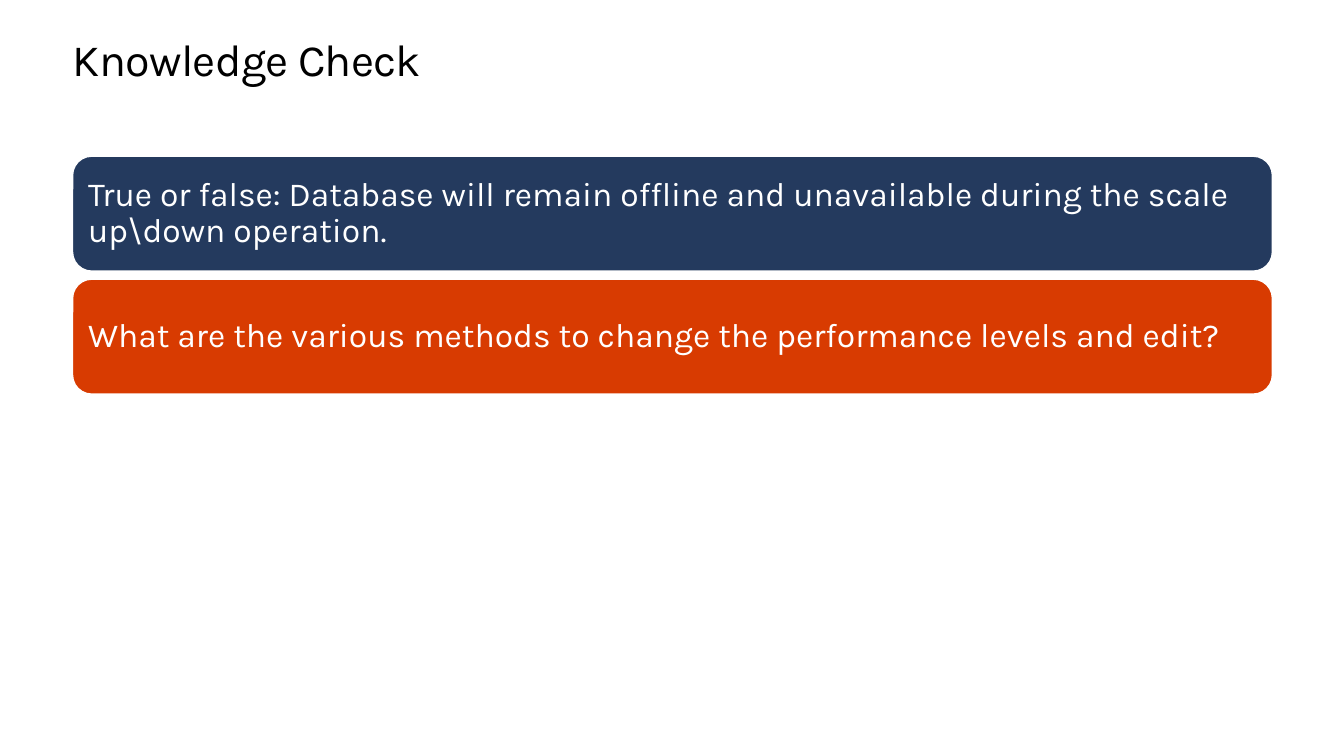
from pptx import Presentation
from pptx.dml.color import RGBColor
from pptx.enum.shapes import MSO_SHAPE as Shape
from pptx.enum.text import MSO_ANCHOR as Anchor, MSO_AUTO_SIZE as AutoSize, PP_ALIGN as Align
from pptx.oxml.ns import qn
from pptx.util import Inches, Pt
from lxml.etree import SubElement

LEFT, WIDTH = 0.72, 11.9
FIRST_TOP, ROW_HEIGHT, ROW_PITCH = 1.55, 1.14, 1.22
QUESTIONS = [
    ("True or false: Database will remain offline and unavailable "
     "during the scale up\\down operation.", "243A5E"),
    ("What are the various methods to change the performance levels and edit?", "D83B01"),
]


def color(value):
    return RGBColor.from_string(value)


def write(box, text, size, ink, frame_format, para_format):
    frame = box.text_frame
    for name, value in frame_format.items():
        setattr(frame, name, value)
    para = frame.paragraphs[0]
    for name, value in para_format.items():
        setattr(para, name, value)
    span = para.add_run()
    span.text = text
    for name, value in {"name": "Karla", "size": Pt(size), "bold": False}.items():
        setattr(span.font, name, value)
    span.font.color.rgb = color(ink)
    return para, span


deck = Presentation()
deck.slide_width, deck.slide_height = Inches(13.33), Inches(7.5)
page = deck.slides.add_slide(deck.slide_layouts[5])

# Title
title = page.shapes.title
for name, value in {"left": LEFT, "top": 0.35, "width": WIDTH, "height": 0.5}.items():
    setattr(title, name, Inches(value))
margins = ("margin_left", "margin_top", "margin_right", "margin_bottom")
para, span = write(
    title, "Knowledge Check", 32, "000000",
    {"word_wrap": True, "auto_size": AutoSize.SHAPE_TO_FIT_TEXT,
     "vertical_anchor": Anchor.TOP, **dict.fromkeys(margins, 0)},
    {"alignment": Align.LEFT, "line_spacing": Pt(36.2)})
span.font._element.set("spc", "-50")

# Question bars
for row, (question, fill) in enumerate(QUESTIONS):
    bar = page.shapes.add_shape(
        Shape.ROUNDED_RECTANGLE, Inches(LEFT), Inches(FIRST_TOP + row * ROW_PITCH),
        Inches(WIDTH), Inches(ROW_HEIGHT))
    bar.shadow.inherit = False
    bar.fill.solid()
    bar.fill.fore_color.rgb = color(fill)
    bar.line.color.rgb = color("FFFFFF")
    bar.line.width = Pt(1)
    para, span = write(
        bar, question, 24, "FFFFFF",
        {"word_wrap": True, "vertical_anchor": Anchor.MIDDLE,
         **dict.fromkeys(margins, Inches(0.1))},
        {"alignment": Align.LEFT, "line_spacing": 0.9})
    # Space after as a share of the text size
    after = SubElement(para._p.get_or_add_pPr(), qn("a:spcAft"))
    SubElement(after, qn("a:spcPct")).set("val", "35000")

deck.save("out.pptx")
